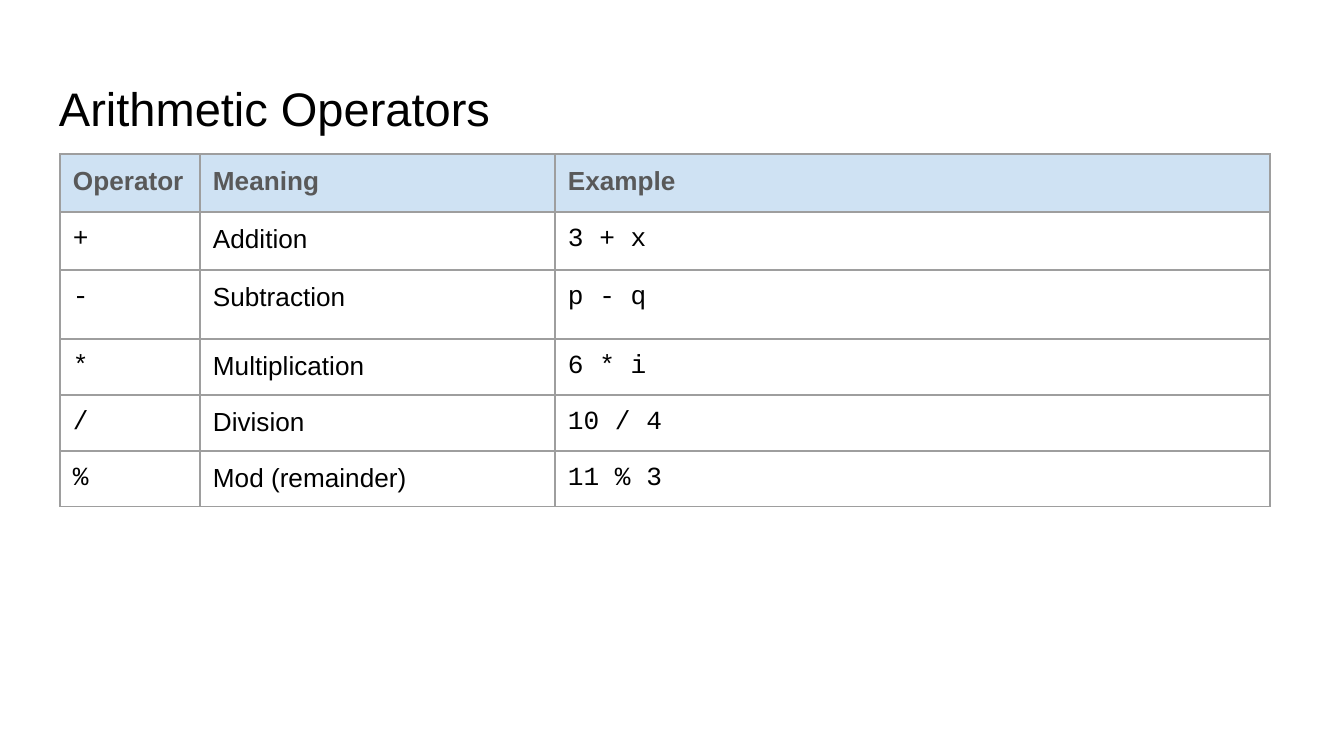
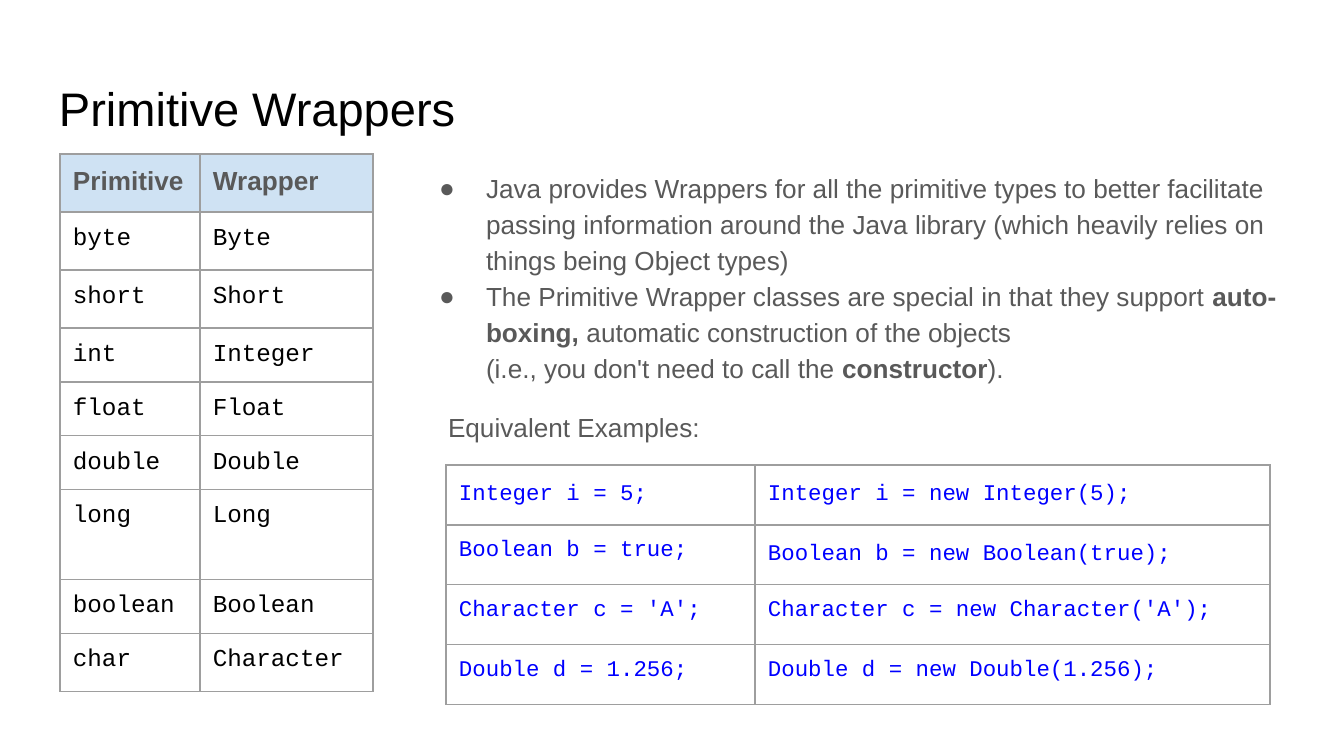
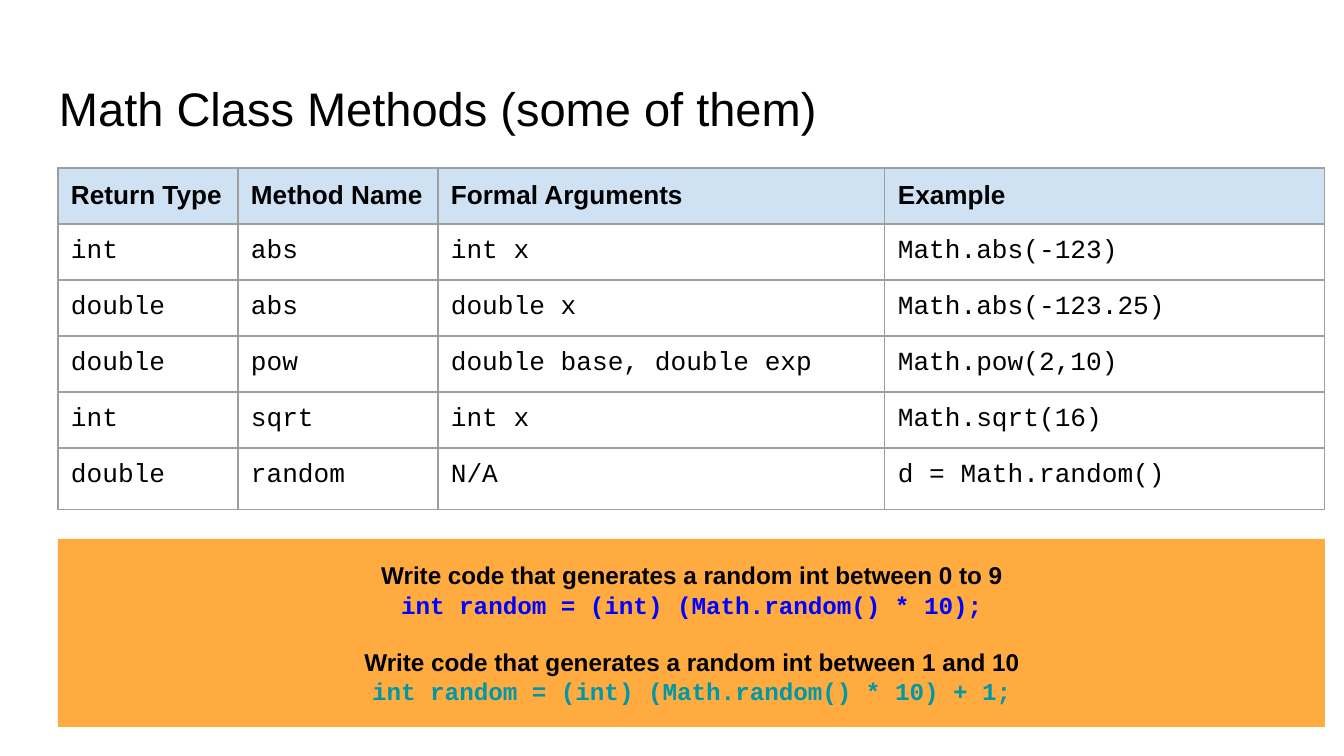
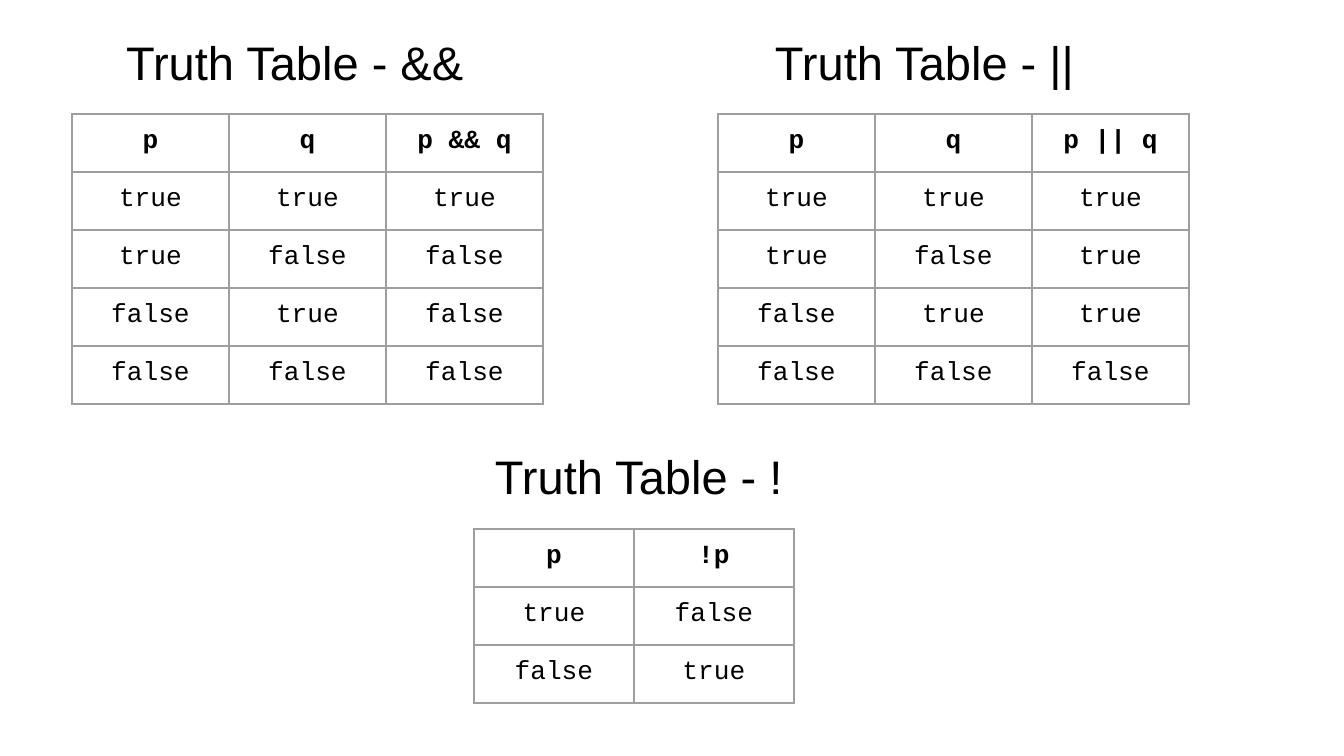
from copy import deepcopy
from itertools import product

from lxml import etree
from pptx import Presentation
from pptx.dml.color import RGBColor
from pptx.enum.shapes import MSO_SHAPE
from pptx.enum.text import MSO_ANCHOR, MSO_AUTO_SIZE, PP_ALIGN
from pptx.oxml.ns import qn
from pptx.util import Emu, Pt

RECT = MSO_SHAPE.RECTANGLE
TOP, MIDDLE = MSO_ANCHOR.TOP, MSO_ANCHOR.MIDDLE
FIXED = MSO_AUTO_SIZE.NONE
LEFT, CENTER = PP_ALIGN.LEFT, PP_ALIGN.CENTER

SCALE = 914400 / 134.4
SANS, MONO = "Arial", "Courier New"
BLACK, GREY, BLUE, TEAL = "000000", "595959", "0000FF", "0097A7"
PALE, ORANGE, RULE = "CFE2F3", "FFAB40", "9E9E9E"
PAD = 13
CODE = {"font": MONO}
TITLE = (46, 66, 1252, 84)


def px(count):
    return Emu(round(count * SCALE))


def rgb(code):
    return RGBColor.from_string(code)


def node(parent, tag, **attrs):
    return etree.SubElement(parent, qn(tag), attrs)


def write(frame, text, size=14, font=SANS, color=BLACK, bold=False,
          align=LEFT, lead=None, before=None, indent=0, bullet=None):
    para = frame.add_paragraph() if frame.text else frame.paragraphs[0]
    para.alignment = align
    if lead:
        para.line_spacing = lead
    if before:
        para.space_before = Pt(before)
    props = para._p.get_or_add_pPr()
    if indent:
        props.set("marL", str(px(indent)))
    if bullet:
        props.set("indent", str(-px(47)))
        node(node(props, "a:buClr"), "a:srgbClr", val=color)
        node(props, "a:buFont", typeface=font)
        node(props, "a:buChar", char=bullet)
    parts = [(text, bold)] if isinstance(text, str) else text
    for words, strong in parts:
        for count, line in enumerate(words.split("\n")):
            if count:
                para.add_line_break()
                para._p[-1].append(deepcopy(run._r.rPr))
            run = para.add_run()
            run.text = line
            run.font.size = Pt(size)
            run.font.name = font
            run.font.bold = strong
            run.font.color.rgb = rgb(color)


def setup(frame, anchor=TOP):
    frame.word_wrap = True
    frame.auto_size = FIXED
    frame.vertical_anchor = anchor
    frame.margin_left = frame.margin_right = px(PAD)
    frame.margin_top = frame.margin_bottom = px(PAD)
    return frame


def textbox(slide, box):
    return setup(slide.shapes.add_textbox(*map(px, box)).text_frame)


def heading(slide, text, box=TITLE):
    title = slide.shapes.title
    if title.text_frame.text:
        frame = textbox(slide, box)
    else:
        title.left, title.top, title.width, title.height = map(px, box)
        frame = setup(title.text_frame)
    write(frame, text, size=25.2)


def border(cell):
    props = cell._tc.get_or_add_tcPr()
    for side in ("a:lnL", "a:lnR", "a:lnT", "a:lnB"):
        line = node(props, side, w=str(Pt(0.75)))
        node(node(line, "a:solidFill"), "a:srgbClr", val=RULE)


def grid(slide, left, top, cols, rows, data, style, fill=None):
    box = map(px, (left, top, sum(cols), sum(rows)))
    table = slide.shapes.add_table(len(rows), len(cols), *box).table
    table.first_row = table.horz_banding = False
    for col, width in zip(table.columns, cols):
        col.width = px(width)
    for row, height in zip(table.rows, rows):
        row.height = px(height)
    for r, line in enumerate(data):
        for c, text in enumerate(line):
            cell = table.cell(r, c)
            cell.margin_left = cell.margin_right = px(PAD)
            cell.margin_top = cell.margin_bottom = px(PAD)
            border(cell)
            if fill and r == 0:
                cell.fill.solid()
                cell.fill.fore_color.rgb = rgb(fill)
            else:
                cell.fill.background()
            write(cell.text_frame, text, **style(r, c))


def operators(slide):
    heading(slide, "Arithmetic Operators")
    data = [
        ("Operator", "Meaning", "Example"),
        ("+", "Addition", "3 + x"),
        ("-", "Subtraction", "p - q"),
        ("*", "Multiplication", "6 * i"),
        ("/", "Division", "10 / 4"),
        ("%", "Mod (remainder)", "11 % 3"),
    ]

    def style(r, c):
        if r == 0:
            return {"color": GREY, "bold": True}
        return {} if c == 1 else CODE

    grid(slide, 60, 154, (140, 355, 715), (58, 58, 69, 56, 56, 56),
         data, style, PALE)


def notes(slide, box):
    frame = textbox(slide, box)
    look = {"color": GREY, "lead": 1.15}
    points = [
        "Java provides Wrappers for all the primitive types to better "
        "facilitate passing information around the Java library (which "
        "heavily relies on things being Object types)",
        [("The Primitive Wrapper classes are special in that they support ",
          False),
         ("auto-boxing,", True),
         (" automatic construction of the objects\n"
          "(i.e., you don't need to call the ", False),
         ("constructor", True),
         (").", False)],
    ]
    for point in points:
        write(frame, point, indent=67, bullet="●", **look)
    write(frame, "Equivalent Examples:", indent=29, before=12, **look)


def wrappers(slide):
    notes(slide, (406, 155, 900, 266))
    heading(slide, "Primitive Wrappers")
    pairs = [("Primitive", "Wrapper")]
    for name in ("byte", "short", "int", "float", "double", "long",
                 "boolean", "char"):
        full = {"int": "Integer", "char": "Character"}
        pairs.append((name, full.get(name, name.capitalize())))

    def style(r, c):
        if r == 0:
            return {"color": GREY, "bold": True}
        return {"font": MONO, "size": 13}

    grid(slide, 60, 154, (140, 173), (58, 58, 58, 54, 54, 54, 90, 54, 58),
         pairs, style, PALE)

    values = [("Integer", "i", "5"), ("Boolean", "b", "true"),
              ("Character", "c", "'A'"), ("Double", "d", "1.256")]
    code = [(f"{kind} {name} = {value};",
             f"{kind} {name} = new {kind}({value});")
            for kind, name, value in values]

    def loose(r, c):
        lead = 1.15 if r <= c else None
        return {"font": MONO, "size": 12, "color": BLUE, "lead": lead}

    grid(slide, 446, 465, (309, 515), (60,) * 4, code, loose)


def task(slide, box):
    shape = slide.shapes.add_shape(RECT, *map(px, box))
    shape.shadow.inherit = False
    shape.fill.solid()
    shape.fill.fore_color.rgb = rgb(ORANGE)
    shape.line.fill.background()
    frame = setup(shape.text_frame, MIDDLE)
    look = {"size": 13, "bold": True, "align": CENTER}
    items = [("0 to 9", "", BLUE, None), ("1 and 10", " + 1", TEAL, 15)]
    for span, shift, color, gap in items:
        write(frame, f"Write code that generates a random int between {span}",
              before=gap, **look)
        write(frame, f"int random = (int) (Math.random() * 10){shift};",
              font=MONO, color=color, **look)


def methods(slide):
    heading(slide, "Math Class Methods (some of them)")
    data = [
        ("Return Type", "Method Name", "Formal Arguments", "Example"),
        ("int", "abs", "int x", "Math.abs(-123)"),
        ("double", "abs", "double x", "Math.abs(-123.25)"),
        ("double", "pow", "double base, double exp", "Math.pow(2,10)"),
        ("int", "sqrt", "int x", "Math.sqrt(16)"),
        ("double", "random", "N/A", "d = Math.random()"),
    ]

    def style(r, c):
        return CODE if r else {"bold": True}

    grid(slide, 58, 168, (180, 200, 447, 440), (56,) * 5 + (62,),
         data, style, PALE)
    task(slide, (58, 539, 1267, 188))


def truth(slide, left, top, inset, width, sign, names, label, rule):
    heading(slide, f"Truth Table - {sign}", (left + inset, top, 367, 84))
    data = [(*names, label)]
    for values in product((True, False), repeat=len(names)):
        line = (*values, rule(values))
        data.append([str(value).lower() for value in line])

    def style(r, c):
        return {"font": MONO, "bold": r == 0, "align": CENTER}

    grid(slide, left, top + 94, (width,) * len(data[0]), (58,) * len(data),
         data, style)


def tables(slide):
    truth(slide, 72, 20, 41, 157, "&&", "pq", "p && q", all)
    truth(slide, 718, 20, 44, 157, "||", "pq", "p || q", any)
    truth(slide, 474, 435, 8, 160, "!", "p", "!p", lambda v: not v[0])


def main():
    deck = Presentation()
    deck.slide_width, deck.slide_height = px(1344), px(756)
    for build in (operators, wrappers, methods, tables):
        build(deck.slides.add_slide(deck.slide_layouts[5]))
    deck.save("out.pptx")


if __name__ == "__main__":
    main()
